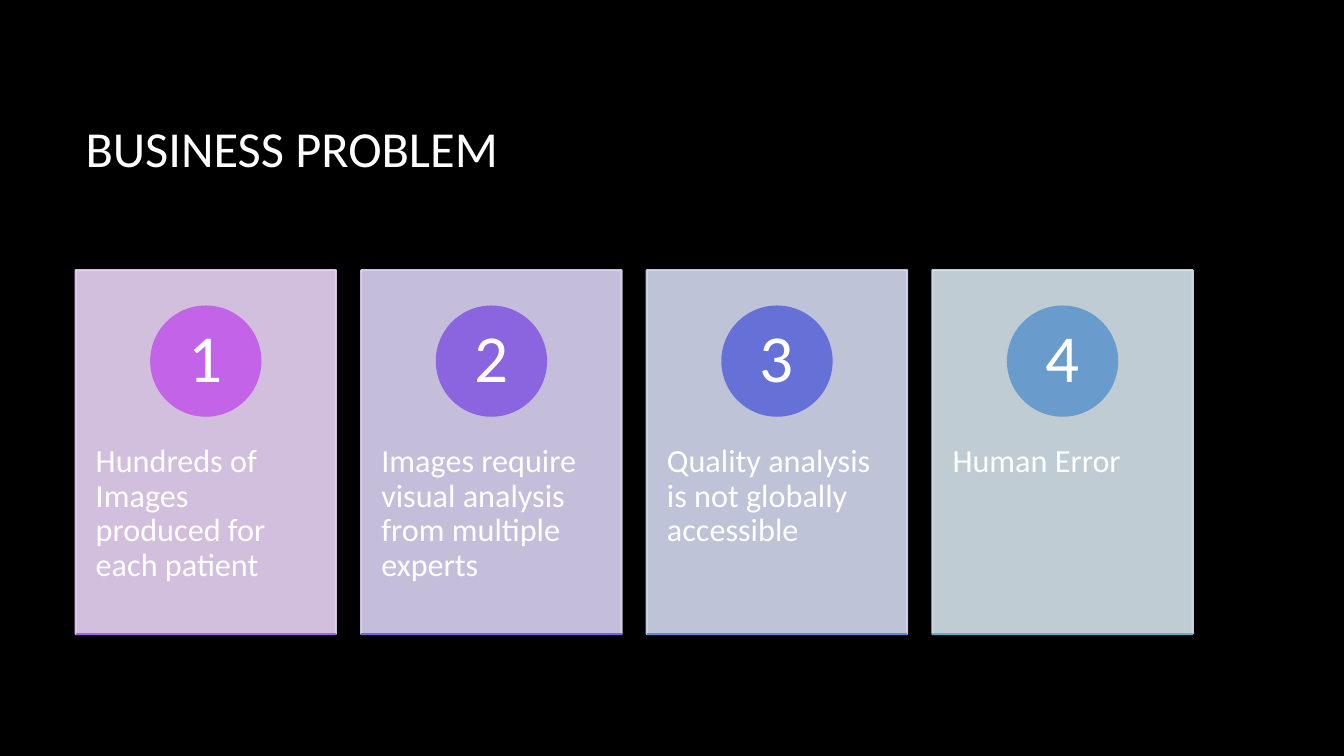
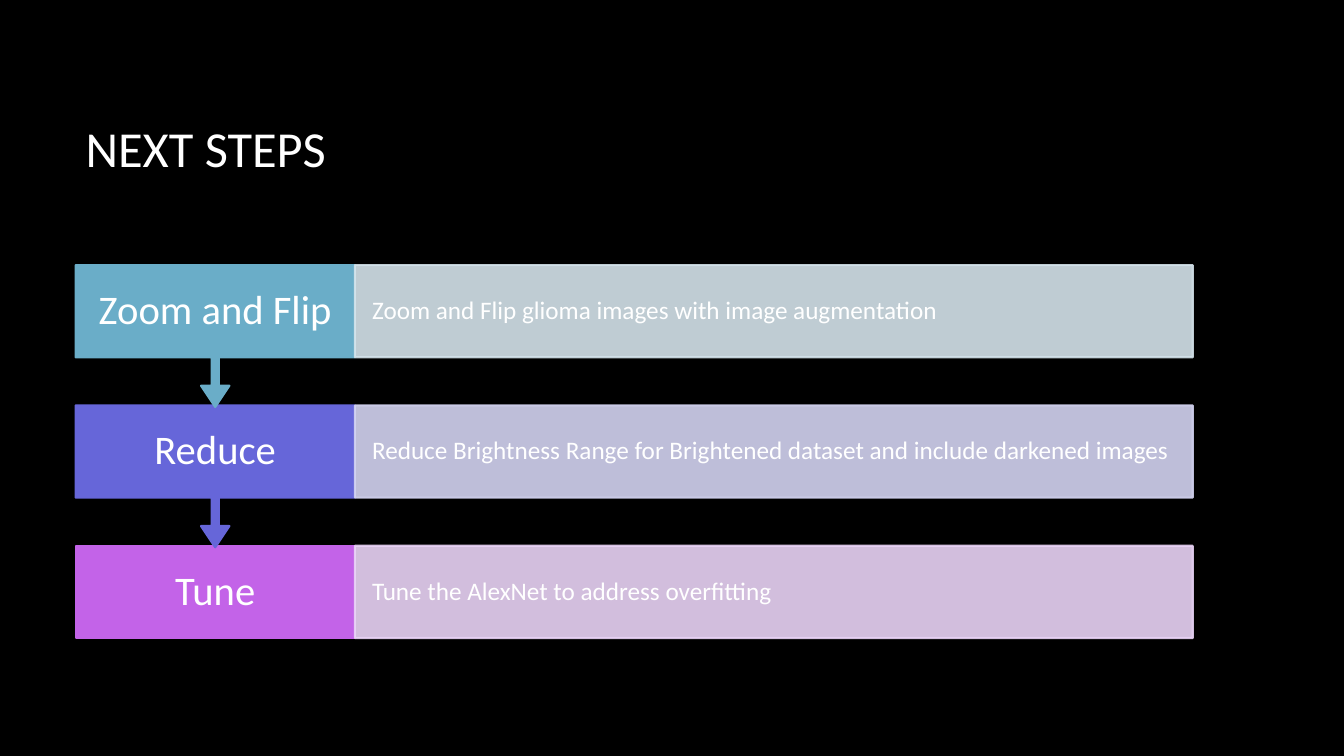
from dataclasses import dataclass

from lxml.etree import SubElement
from pptx import Presentation
from pptx.dml.color import RGBColor
from pptx.enum.shapes import MSO_CONNECTOR, MSO_SHAPE
from pptx.enum.text import MSO_ANCHOR, PP_ALIGN
from pptx.oxml.ns import qn
from pptx.util import Inches, Pt


@dataclass(frozen=True)
class Theme:
    font: str = "Calibri"
    background: str = "000000"
    text: str = "FFFFFF"
    title_size: int = 36
    number_size: int = 48
    card_size: int = 23
    step_size: int = 29
    detail_size: int = 18
    line_width: float = 1.5
    line_spacing: float = 0.9
    panel_opacity: int = 90


@dataclass(frozen=True)
class Box:
    left: float
    top: float
    width: float
    height: float

    def lengths(self):
        return [Inches(v) for v in (self.left, self.top, self.width, self.height)]


THEME = Theme()
TITLE_BOX = Box(0.75, 0.67, 11.08, 1.59)
CARDS_BOX = Box(0.75, 2.68, 11.08, 3.61)
STEPS_BOX = Box(0.75, 2.63, 11.08, 3.7)

# Text, panel colour, circle colour, base line colour
CARDS = [
    ("Hundreds of Images produced for each patient", "E9D3F6", "C363E8", "A664E4"),
    ("Images require visual analysis from multiple experts", "DAD3F3", "8B64E0", "7265DB"),
    ("Quality analysis is not globally accessible", "D3D9EF", "6671D7", "6788D2"),
    ("Human Error", "D4E3EB", "699CCD", "6AADC8"),
]
# Step name, detail, step colour, panel colour
STEPS = [
    ("Zoom and Flip", "Zoom and Flip glioma images with image augmentation",
     "6AADC8", "D4E3EB"),
    ("Reduce",
     "Reduce Brightness Range for Brightened dataset and include darkened images",
     "6666D9", "D3D3F1"),
    ("Tune", "Tune the AlexNet to address overfitting", "C363E8", "E9D3F6"),
]


def write_text(shape, text, *, size, align=PP_ALIGN.LEFT, anchor=MSO_ANCHOR.MIDDLE,
               insets=(0.1, 0.05), top_inset=None, spacing=THEME.line_spacing):
    """Fill a shape with one paragraph; insets are (sides, top and bottom)."""
    frame = shape.text_frame
    frame.word_wrap = True
    frame.vertical_anchor = anchor
    side, vertical = insets
    frame.margin_left = frame.margin_right = Inches(side)
    frame.margin_top = Inches(vertical if top_inset is None else top_inset)
    frame.margin_bottom = Inches(vertical)
    paragraph = frame.paragraphs[0]
    paragraph.alignment = align
    paragraph.line_spacing = spacing
    run = paragraph.add_run()
    run.text = text
    run.font.name = THEME.font
    run.font.size = Pt(size)
    run.font.color.rgb = RGBColor.from_string(THEME.text)


def add_block(slide, kind, box, color, opacity=100):
    """Add a preset shape whose fill and line share one colour."""
    shape = slide.shapes.add_shape(kind, *box.lengths())
    shape.shadow.inherit = False
    shape.fill.solid()
    shape.fill.fore_color.rgb = RGBColor.from_string(color)
    shape.line.color.rgb = RGBColor.from_string(color)
    shape.line.width = Pt(THEME.line_width)
    if opacity < 100:
        for node in shape._element.spPr.iter(qn("a:srgbClr")):
            SubElement(node, qn("a:alpha")).set("val", str(opacity * 1000))
    return shape


def add_base_line(slide, box, color):
    bottom = Inches(box.top + box.height)
    line = slide.shapes.add_connector(
        MSO_CONNECTOR.STRAIGHT, Inches(box.left), bottom,
        Inches(box.left + box.width), bottom)
    line.line.color.rgb = RGBColor.from_string(color)
    line.line.width = Pt(THEME.line_width)
    SubElement(line._element.spPr, qn("a:effectLst"))


def add_titled_slide(presentation, title):
    slide = presentation.slides.add_slide(presentation.slide_layouts[6])
    slide.background.fill.solid()
    slide.background.fill.fore_color.rgb = RGBColor.from_string(THEME.background)
    title_box = slide.shapes.add_textbox(*TITLE_BOX.lengths())
    write_text(title_box, title, size=THEME.title_size, spacing=None)
    return slide


def add_card(slide, box, number, text, panel_color, circle_color, line_color):
    # Panel with its text below the circle
    panel = add_block(slide, MSO_SHAPE.RECTANGLE, box, panel_color, THEME.panel_opacity)
    write_text(panel, text, size=THEME.card_size, anchor=MSO_ANCHOR.TOP,
               insets=(0.2, 0.36), top_inset=1.73)
    # Numbered circle, centred across the card
    diameter = 0.3 * box.height
    circle_box = Box(box.left + (box.width - diameter) / 2,
                     box.top + 0.1 * box.height, diameter, diameter)
    circle = add_block(slide, MSO_SHAPE.OVAL, circle_box, circle_color)
    write_text(circle, str(number), size=THEME.number_size,
               align=PP_ALIGN.CENTER, insets=(0.08, 0.01))
    add_base_line(slide, box, line_color)


def add_cards(slide, box, cards, gap=0.25):
    width = (box.width - gap * (len(cards) - 1)) / len(cards)
    for index, card in enumerate(cards):
        left = box.left + index * (width + gap)
        add_card(slide, Box(left, box.top, width, box.height), index + 1, *card)


def add_step(slide, box, name, detail, color, panel_color, has_arrow):
    # Step name: a quarter of the row, with an arrow to the next row
    name_width = box.width / 4
    box_share = 0.65
    if has_arrow:
        name_box = Box(box.left, box.top, name_width, box.height / box_share)
        block = add_block(slide, MSO_SHAPE.DOWN_ARROW_CALLOUT, name_box, color)
        for index, value in enumerate((0.05, 0.1, 0.15, box_share)):
            block.adjustments[index] = value
    else:
        name_box = Box(box.left, box.top, name_width, box.height)
        block = add_block(slide, MSO_SHAPE.RECTANGLE, name_box, color)
    write_text(block, name, size=THEME.step_size, align=PP_ALIGN.CENTER,
               insets=(0.2, 0.2))
    # Detail panel
    panel_box = Box(box.left + name_width, box.top, box.width - name_width, box.height)
    panel = add_block(slide, MSO_SHAPE.RECTANGLE, panel_box, panel_color,
                      THEME.panel_opacity)
    write_text(panel, detail, size=THEME.detail_size, insets=(0.17, 0.25))


def add_steps(slide, box, steps, row_height=0.915):
    last = len(steps) - 1
    pitch = (box.height - row_height) / last
    # Bottom row first, so that each arrow tip lies over the row below
    for index in range(last, -1, -1):
        row = Box(box.left, box.top + index * pitch, box.width, row_height)
        add_step(slide, row, *steps[index], has_arrow=index < last)


def main():
    presentation = Presentation()
    presentation.slide_width = Inches(13.33)
    presentation.slide_height = Inches(7.5)
    add_cards(add_titled_slide(presentation, "BUSINESS PROBLEM"), CARDS_BOX, CARDS)
    add_steps(add_titled_slide(presentation, "NEXT STEPS"), STEPS_BOX, STEPS)
    presentation.save("out.pptx")


if __name__ == "__main__":
    main()
